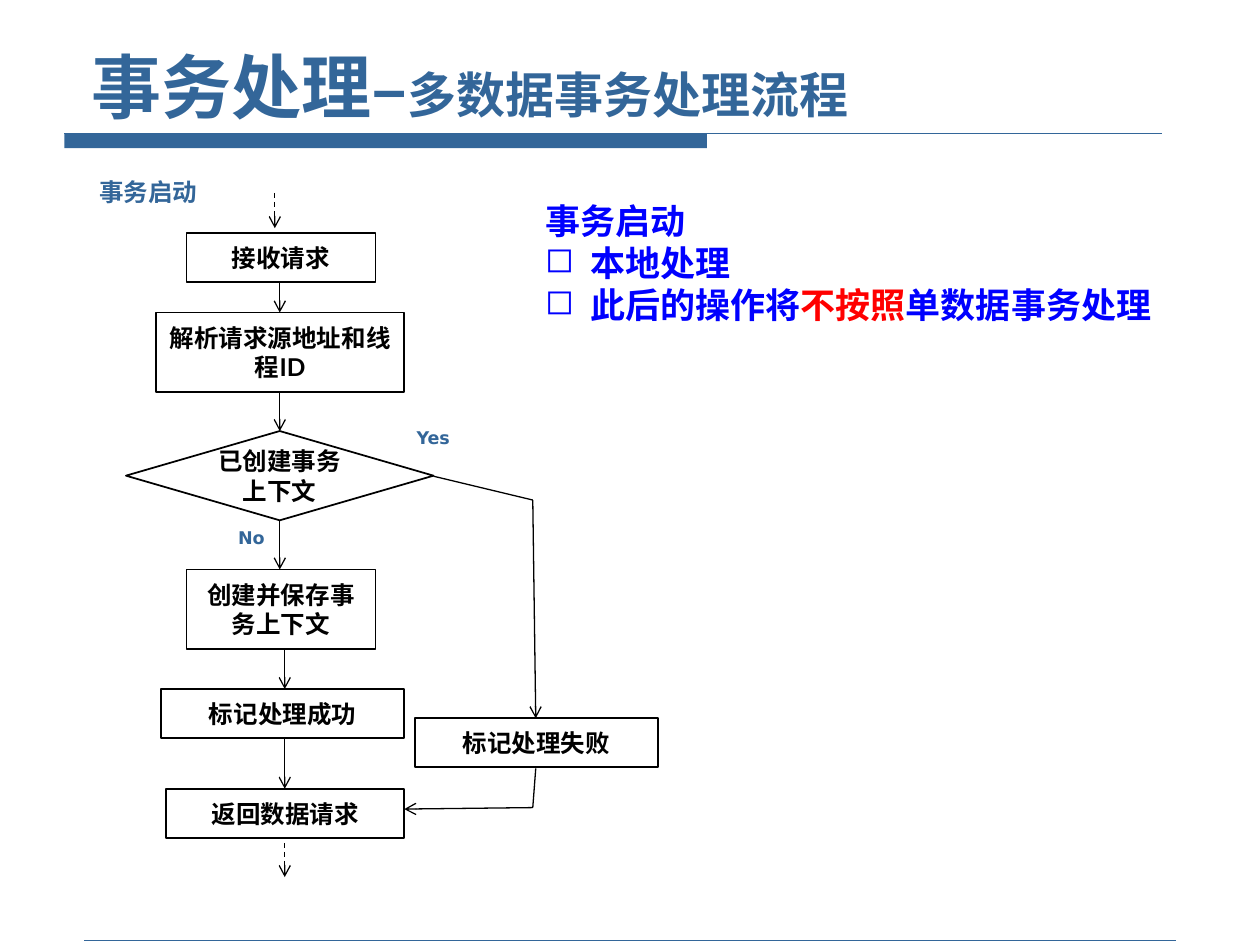
"""Build the slide on the flow of multi-data transaction processing."""
from dataclasses import dataclass

from lxml import etree
from pptx import Presentation
from pptx.dml.color import RGBColor
from pptx.enum import dml, shapes, text
from pptx.oxml import ns
from pptx.util import Cm, Pt


@dataclass(frozen=True)
class Theme:
    accent: RGBColor = RGBColor(0x33, 0x66, 0x99)
    ink: RGBColor = RGBColor(0, 0, 0)
    paper: RGBColor = RGBColor(0xFF, 0xFF, 0xFF)
    note: RGBColor = RGBColor(0, 0, 0xFF)
    alert: RGBColor = RGBColor(0xFF, 0, 0)
    face: str = "Lato"
    label_face: str = "DejaVu Sans"
    title_size: int = 40
    dash_size: int = 38
    subtitle_size: int = 28
    note_size: int = 20
    step_size: int = 14
    branch_size: int = 10


THEME = Theme()
RECT = shapes.MSO_SHAPE.RECTANGLE
DECISION = shapes.MSO_SHAPE.FLOWCHART_DECISION
MAIN_X, LOWER_X = 5.64, 5.74
STEP_HEIGHT, TALL_HEIGHT = 0.99, 1.6

STEPS = [
    (RECT, "接收请求", 3.76, 4.7, 3.81, STEP_HEIGHT),
    (RECT, "解析请求源地址和线程ID", 3.15, 6.3, 5, TALL_HEIGHT),
    (DECISION, "已创建事务上下文", 2.54, 8.69, 6.2, 1.8),
    (RECT, "创建并保存事务上下文", 3.76, 11.48, 3.81, TALL_HEIGHT),
    (RECT, "标记处理成功", 3.25, 13.89, 4.9, STEP_HEIGHT),
    (RECT, "返回数据请求", 3.35, 15.9, 4.8, STEP_HEIGHT),
    (RECT, "标记处理失败", 8.36, 14.48, 4.9, STEP_HEIGHT),
]
DOWN_ARROWS = [
    (MAIN_X, 5.69, 6.3),
    (MAIN_X, 7.9, 8.69),
    (MAIN_X, 10.49, 11.48),
    (LOWER_X, 13.08, 13.89),
    (LOWER_X, 14.88, 15.9),
]
ENTRY_AND_EXIT = [(5.54, 3.89, 4.6), (LOWER_X, 16.99, 17.68)]
YES_ROUTE = [(8.74, 9.6), (10.74, 10.08), (10.8, 14.48)]
RETURN_ROUTE = [(10.8, 15.49), (10.74, 16.28), (8.15, 16.31)]


def style(paragraph, size, color, face=THEME.face):
    """Set the bold font that all runs of a paragraph share."""
    font = paragraph.font
    font.size, font.bold, font.name = Pt(size), True, face
    font.color.rgb = color


def add_line(slide, start, end, color=THEME.ink, width=0.75, arrow=False, dashed=False):
    """Draw a straight line, with an arrowhead at its end if asked."""
    line = slide.shapes.add_connector(
        shapes.MSO_CONNECTOR.STRAIGHT, *(Cm(v) for v in (*start, *end)))
    line.line.color.rgb = color
    line.line.width = Pt(width)
    if dashed:
        line.line.dash_style = dml.MSO_LINE.DASH
    if arrow:
        etree.SubElement(line.line._get_or_add_ln(), ns.qn("a:tailEnd"), type="arrow")
    etree.SubElement(line._element.spPr, ns.qn("a:effectLst"))


def add_route(slide, points):
    """Join points by lines, the last of which carries an arrowhead."""
    legs = list(zip(points, points[1:]))
    for start, end in legs:
        add_line(slide, start, end, arrow=(start, end) == legs[-1])


def add_shape(slide, kind, box, fill):
    """Add a flat filled shape without an outline."""
    shape = slide.shapes.add_shape(kind, *(Cm(v) for v in box))
    shape.shadow.inherit = False
    shape.fill.solid()
    shape.fill.fore_color.rgb = fill
    shape.line.fill.background()
    return shape


def add_step(slide, kind, wording, *box):
    """Add an outlined flow chart step with centred text."""
    step = add_shape(slide, kind, box, THEME.paper)
    step.line.color.rgb = THEME.ink
    step.line.width = Pt(1)
    frame = step.text_frame
    frame.word_wrap = True
    frame.vertical_anchor = text.MSO_ANCHOR.MIDDLE
    frame.text = wording
    paragraph = frame.paragraphs[0]
    paragraph.alignment = text.PP_ALIGN.CENTER
    style(paragraph, THEME.step_size, THEME.ink)


def add_frame(slide, box, wrap=True):
    """Add a text box and return its text frame."""
    frame = slide.shapes.add_textbox(*(Cm(v) for v in box)).text_frame
    frame.word_wrap = wrap
    return frame


def add_label(slide, wording, size, *box, wrap=True):
    """Add a short label next to the flow."""
    frame = add_frame(slide, box, wrap)
    frame.text = wording
    style(frame.paragraphs[0], size, THEME.accent, THEME.label_face)


def add_bullet(paragraph, indent=0.91):
    """Give a paragraph a hollow square bullet and a hanging indent."""
    properties = paragraph._p.get_or_add_pPr()
    properties.set("marL", str(Cm(indent)))
    properties.set("indent", str(Cm(-indent)))
    etree.SubElement(properties, ns.qn("a:buChar"), char="◻")


def add_title(slide):
    """Add the title with its rule and bar."""
    add_shape(slide, RECT, (1.3, 2.69, 12.95, 0.3), THEME.accent)
    add_line(slide, (1.3, 2.69), (23.42, 2.69), THEME.accent)
    frame = add_frame(slide, (1.6, 0.84, 22.22, 1.85))
    frame.vertical_anchor = text.MSO_ANCHOR.BOTTOM
    paragraph = frame.paragraphs[0]
    style(paragraph, THEME.title_size, THEME.accent)
    for wording, size in (("事务处理", THEME.title_size), ("–", THEME.dash_size),
                          ("多数据事务处理流程", THEME.subtitle_size)):
        run = paragraph.add_run()
        run.text = wording
        run.font.size = Pt(size)


def add_notes_on_start(slide):
    """Add the explanation of the transaction start."""
    frame = add_frame(slide, (10.74, 3.89, 13.82, 2.82))
    alert = "不按照"
    lines = [["事务启动"], ["本地处理"], ["此后的操作将", alert, "单数据事务处理"]]
    for index, parts in enumerate(lines):
        paragraph = frame.add_paragraph() if index else frame.paragraphs[0]
        if index:
            add_bullet(paragraph)
        style(paragraph, THEME.note_size, THEME.note)
        for part in parts:
            run = paragraph.add_run()
            run.text = part
            if part == alert:
                run.font.color.rgb = THEME.alert


def add_flow(slide):
    """Add the steps, arrows and labels of the flow chart."""
    for step in STEPS:
        add_step(slide, *step)
    for x, top, bottom in DOWN_ARROWS:
        add_line(slide, (x, top), (x, bottom), arrow=True)
    for x, top, bottom in ENTRY_AND_EXIT:
        add_line(slide, (x, top), (x, bottom), arrow=True, dashed=True)
    for route in (YES_ROUTE, RETURN_ROUTE):
        add_route(slide, route)
    add_label(slide, "事务启动", THEME.step_size, 1.75, 3.45, 2.51, 0.86, wrap=False)
    add_label(slide, "Yes", THEME.branch_size, 8.15, 8.48, 1.35, 0.69)
    add_label(slide, "No", THEME.branch_size, 4.55, 10.49, 1.35, 0.69)


def main():
    """Build and save the slide."""
    deck = Presentation()
    deck.slide_width, deck.slide_height = Cm(25.4), Cm(19.05)
    slide = deck.slides.add_slide(deck.slide_layouts[6])
    add_title(slide)
    add_line(slide, (1.7, 18.95), (23.7, 18.95), THEME.accent, width=0.25)
    add_notes_on_start(slide)
    add_flow(slide)
    deck.save("out.pptx")


if __name__ == "__main__":
    main()
